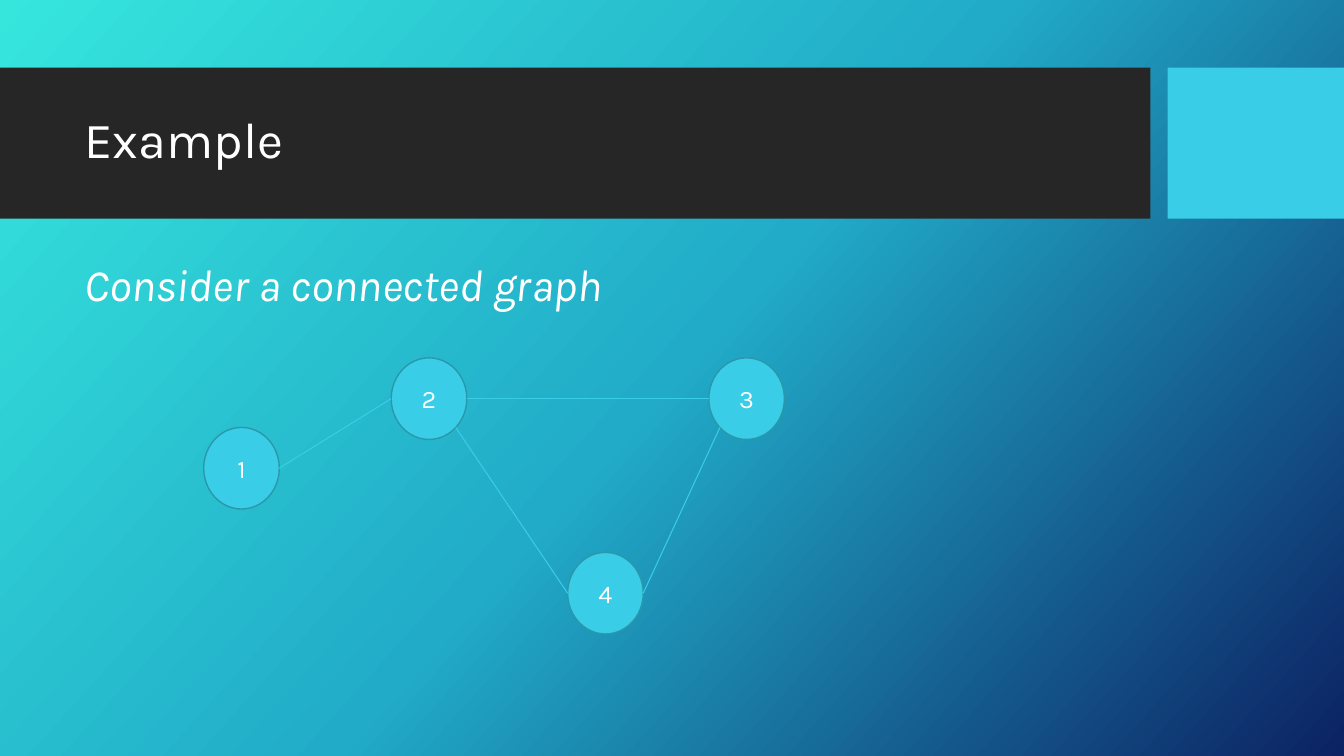
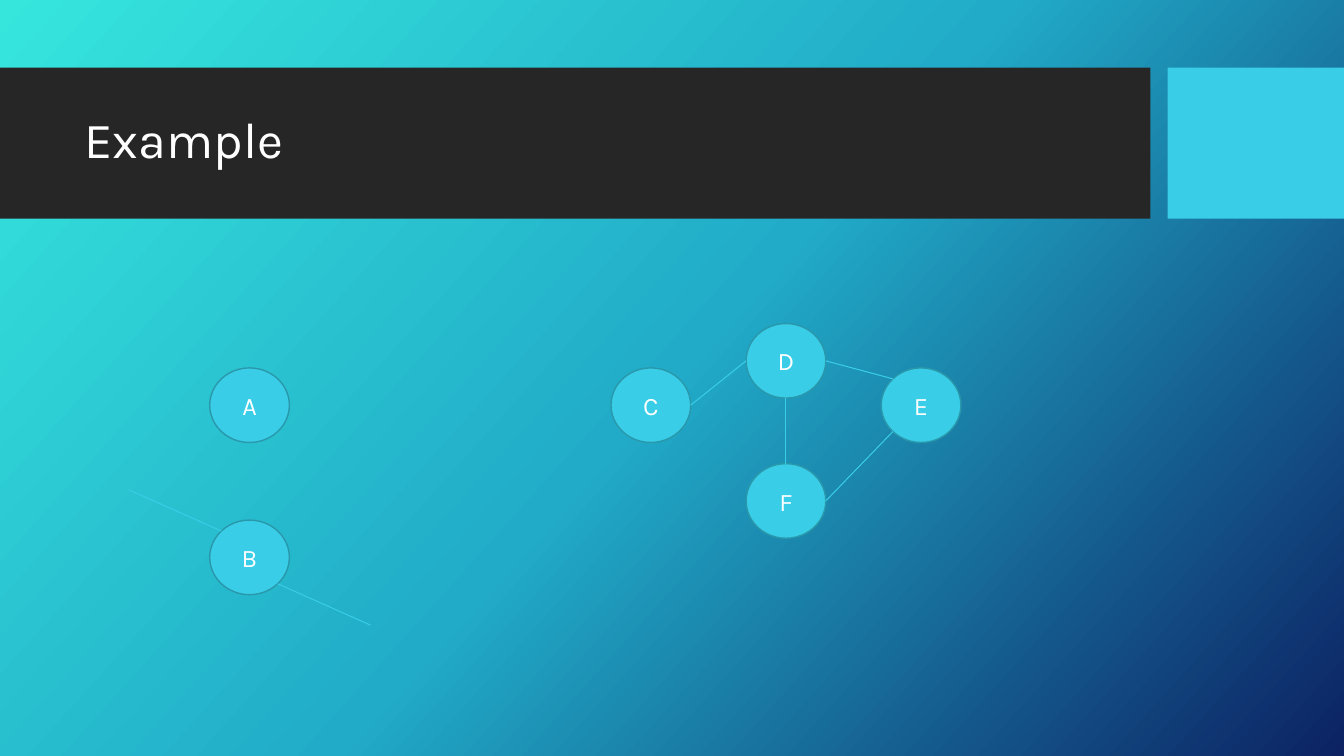
import copy
import math

import lxml.etree
import pptx
import pptx.dml.color
import pptx.enum.shapes
import pptx.enum.text
import pptx.oxml.ns
import pptx.util

Inches, Pt = pptx.util.Inches, pptx.util.Pt
SHAPE = pptx.enum.shapes.MSO_SHAPE
MIDDLE = pptx.enum.text.MSO_ANCHOR.MIDDLE
TOP = pptx.enum.text.MSO_ANCHOR.TOP
LEFT, CENTER = pptx.enum.text.PP_ALIGN.LEFT, pptx.enum.text.PP_ALIGN.CENTER

WHITE, CYAN, RIM, CHARCOAL = "FFFFFF", "39CDE7", "2A98AB", "262626"
BACKDROP = [(0, "36E6DD"), (0.5, "21ABC8"), (1, "0C2263")]
BACKDROP_ANGLE = 42
BANDS = [((0, 0.67, 11.41, 1.5), CHARCOAL), ((11.58, 0.67, 1.75, 1.5), CYAN)]
TITLE_AREA = (0.74, 0.82, 10.51, 1.18)
STATEMENT_AREA = (0.74, 2.56, 10.51, 3.94)

TITLE_STYLE = {"size": Pt(36)}
STATEMENT_STYLE = {"size": Pt(32), "italic": True}
NODE_STYLE = {"size": Pt(18)}

COMPASS = {"e": 0, "se": 45, "s": 90, "sw": 135, "w": 180, "nw": 225, "n": 270, "ne": 315}

GRAPHS = [
    {
        "title": "Example",
        "statement": "Consider a connected graph",
        "node_size": (0.75, 0.81),
        "nodes": {"1": (2.02, 4.24), "2": (3.88, 3.55), "3": (7.03, 3.55), "4": (5.63, 5.48)},
        "edges": [("1 e", "2 w"), ("2 e", "3 w"), ("2 se", "4 w"), ("4 e", "3 sw")],
        "loose_ends": [],
    },
    {
        "title": "Example",
        "statement": None,
        "node_size": (0.79, 0.74),
        "nodes": {"A": (2.08, 3.65), "E": (8.74, 3.65), "B": (2.08, 5.16),
                  "D": (7.4, 3.21), "F": (7.4, 4.6), "C": (6.06, 3.65)},
        "edges": [("C e", "D w"), ("D e", "E nw"), ("E sw", "F e"), ("D s", "F n")],
        "loose_ends": [("B nw", (-0.92, -0.41)), ("B se", (0.92, 0.41))],
    },
]


def rgb(code):
    return pptx.dml.color.RGBColor.from_string(code)


def inches(numbers):
    return [Inches(number) for number in numbers]


def write(holder, words, style, anchor, alignment, spacing=None, before=None):
    frame = holder.text_frame
    frame.text = words
    frame.word_wrap = True
    frame.vertical_anchor = anchor
    paragraph = frame.paragraphs[0]
    layout_values = {"alignment": alignment, "line_spacing": spacing, "space_before": before}
    for name, value in layout_values.items():
        setattr(paragraph, name, value)
    font = paragraph.runs[0].font
    for name, value in {"name": "Karla", **style}.items():
        setattr(font, name, value)
    font.color.rgb = rgb(WHITE)


def add_filled(slide, preset, area, fill, rim=None):
    shape = slide.shapes.add_shape(preset, *inches(area))
    shape.shadow.inherit = False
    shape.fill.solid()
    shape.fill.fore_color.rgb = rgb(fill)
    if rim:
        shape.line.color.rgb = rgb(rim)
        shape.line.width = Pt(1)
    else:
        shape.line.fill.background()
    return shape


def add_edge(slide, start, end):
    straight = pptx.enum.shapes.MSO_CONNECTOR.STRAIGHT
    edge = slide.shapes.add_connector(straight, *inches(start + end))
    edge.line.color.rgb = rgb(CYAN)
    edge.line.width = Pt(0.75)
    lxml.etree.SubElement(edge.element.spPr, pptx.oxml.ns.qn("a:effectLst"))


def rim_point(graph, place):
    node, side = place.split()
    angle = math.radians(COMPASS[side])
    (left, top), (width, height) = graph["nodes"][node], graph["node_size"]
    return (left + width / 2 * (1 + math.cos(angle)),
            top + height / 2 * (1 + math.sin(angle)))


def paint_backdrop(master):
    fill = master.background.fill
    fill.gradient()
    fill.gradient_angle = 360 - BACKDROP_ANGLE
    stop_list = master.element.find(".//" + pptx.oxml.ns.qn("a:gsLst"))
    while len(stop_list) < len(BACKDROP):
        stop_list.append(copy.deepcopy(stop_list[-1]))
    for stop, (position, code) in zip(fill.gradient_stops, BACKDROP):
        stop.position = position
        stop.color.rgb = rgb(code)


def place_title(title):
    title.left, title.top, title.width, title.height = inches(TITLE_AREA)


def build_layout(deck):
    layout = deck.slide_layouts.get_by_name("Title Only")
    paint_backdrop(deck.slide_master)
    place_title(layout.placeholders[0])
    return layout


def add_bands(slide, layout):
    for depth, (area, fill) in enumerate(BANDS, start=2):
        band = add_filled(slide, SHAPE.RECTANGLE, area, fill)
        layout.shapes.element.insert(depth, band.element)


def add_graph(slide, graph):
    place_title(slide.shapes.title)
    write(slide.shapes.title, graph["title"], TITLE_STYLE, MIDDLE, LEFT, 0.9)
    if graph["statement"]:
        statement = slide.shapes.add_textbox(*inches(STATEMENT_AREA))
        write(statement, graph["statement"], STATEMENT_STYLE, TOP, LEFT, 0.9, Pt(10))
    for label, corner in graph["nodes"].items():
        node = add_filled(slide, SHAPE.OVAL, corner + graph["node_size"], CYAN, RIM)
        write(node, label, NODE_STYLE, MIDDLE, CENTER)
    for start, end in graph["edges"]:
        add_edge(slide, rim_point(graph, start), rim_point(graph, end))
    for place, (across, down) in graph["loose_ends"]:
        x, y = rim_point(graph, place)
        add_edge(slide, (x, y), (x + across, y + down))


deck = pptx.Presentation()
deck.slide_width, deck.slide_height = inches((13.33, 7.5))
title_layout = build_layout(deck)
graph_slides = [deck.slides.add_slide(title_layout) for graph in GRAPHS]
add_bands(graph_slides[0], title_layout)
for graph_slide, graph in zip(graph_slides, GRAPHS):
    add_graph(graph_slide, graph)
deck.save("out.pptx")
